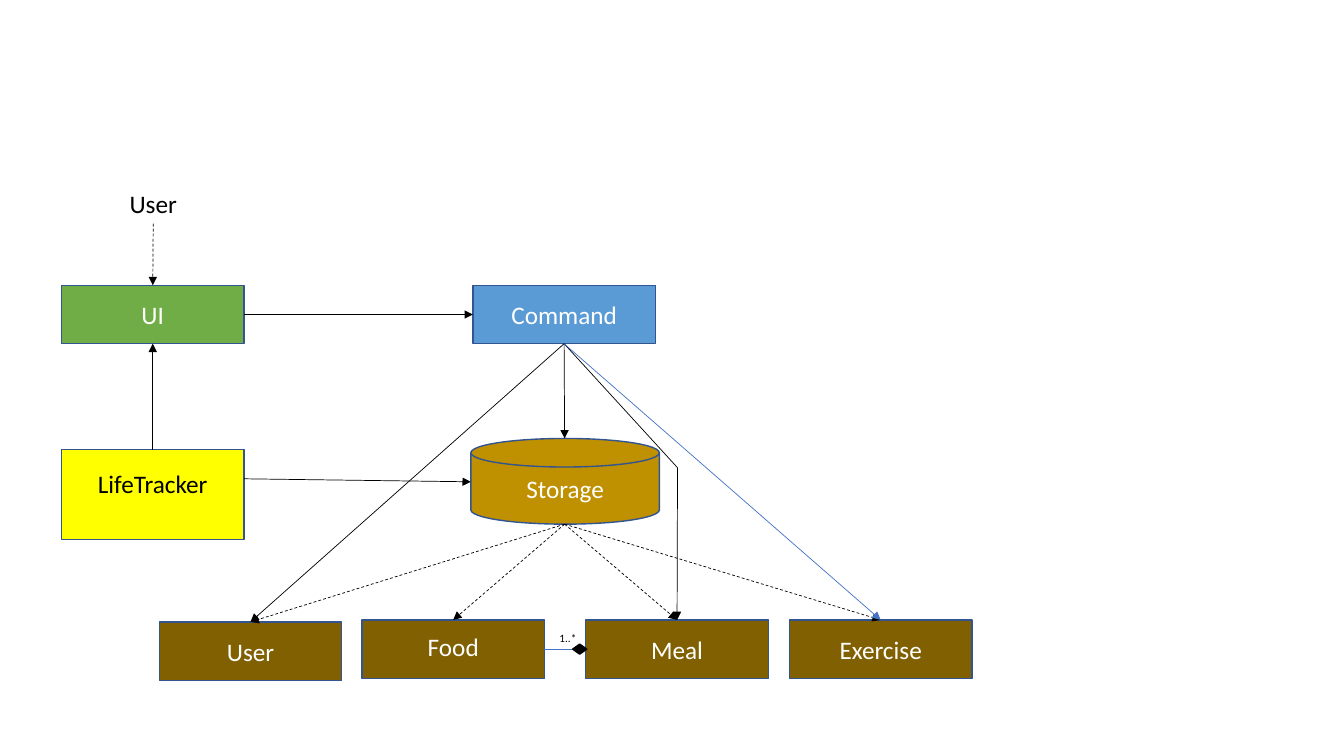
import pptx
import pptx.util
import pptx.dml.color
import pptx.enum.dml
import pptx.enum.shapes
import pptx.enum.text
import pptx.oxml.ns
import lxml.etree

Inches = pptx.util.Inches
Pt = pptx.util.Pt
RGBColor = pptx.dml.color.RGBColor
SHAPE = pptx.enum.shapes.MSO_SHAPE
ALIGN = pptx.enum.text.PP_ALIGN
ANCHOR = pptx.enum.text.MSO_ANCHOR

BLACK = RGBColor(0x00, 0x00, 0x00)
WHITE = RGBColor(0xFF, 0xFF, 0xFF)
GREEN = RGBColor(0x70, 0xAD, 0x47)
SKY = RGBColor(0x5B, 0x9B, 0xD5)
YELLOW = RGBColor(0xFF, 0xFF, 0x00)
GOLD = RGBColor(0xBF, 0x90, 0x00)
BROWN = RGBColor(0x80, 0x60, 0x00)
OUTLINE = RGBColor(0x32, 0x54, 0x91)
BLUE = RGBColor(0x44, 0x72, 0xC4)

BOX_WIDTH, BOX_HEIGHT = 1.81, 0.58
TOP, LEFT, BOTTOM, RIGHT = range(4)


def write(shape, wording, color=WHITE, size=18, align=ALIGN.CENTER, **frame_format):
    frame = shape.text_frame
    frame_values = {"word_wrap": True, "vertical_anchor": ANCHOR.MIDDLE, **frame_format}
    for name, value in frame_values.items():
        setattr(frame, name, value)
    paragraph = frame.paragraphs[0]
    paragraph.alignment = align
    run = paragraph.add_run()
    run.text = wording
    for name, value in {"name": "Calibri", "size": Pt(size)}.items():
        setattr(run.font, name, value)
    run.font.color.rgb = color


def add_block(slide, box, fill, kind=SHAPE.RECTANGLE, outline=OUTLINE):
    block = slide.shapes.add_shape(kind, *map(Inches, box))
    block.shadow.inherit = False
    block.fill.solid()
    block.fill.fore_color.rgb = fill
    block.line.color.rgb = outline
    block.line.width = Pt(1)
    return block


def add_label(slide, box, wording, **text_format):
    label = slide.shapes.add_textbox(*map(Inches, box))
    write(label, wording, BLACK, vertical_anchor=ANCHOR.TOP, **text_format)
    return label


def add_link(slide, start, end, color=BLACK, dashed=False, arrow=True):
    points = [end_point if isinstance(end_point[0], float) else (0, 0)
              for end_point in (start, end)]
    link = slide.shapes.add_connector(
        pptx.enum.shapes.MSO_CONNECTOR.STRAIGHT,
        *(Inches(value) for point in points for value in point))
    for end_point, join in ((start, link.begin_connect), (end, link.end_connect)):
        if not isinstance(end_point[0], float):
            join(*end_point)
    link.line.color.rgb = color
    link.line.width = Pt(0.5)
    if dashed:
        link.line.dash_style = pptx.enum.dml.MSO_LINE.DASH
    qn = pptx.oxml.ns.qn
    if arrow:
        lxml.etree.SubElement(link.line._get_or_add_ln(), qn("a:tailEnd"), type="triangle")
    lxml.etree.SubElement(link._element.spPr, qn("a:effectLst"))


def add_front_end(slide, left, top):
    user = add_label(slide, (left + 0.4, top, 1.02, 0.4), "User")
    ui = add_block(slide, (left, top + 1.01, BOX_WIDTH, BOX_HEIGHT), GREEN)
    write(ui, "UI")
    tracker = add_block(slide, (left, top + 2.64, BOX_WIDTH, 0.89), YELLOW)
    write(tracker, "LifeTracker", BLACK, margin_bottom=Inches(0.27))
    add_link(slide, (user, BOTTOM), (ui, TOP), dashed=True)
    add_link(slide, (tracker, TOP), (ui, BOTTOM))
    return ui


def add_core(slide, left, top):
    command = add_block(slide, (left + 0.02, top, BOX_WIDTH, BOX_HEIGHT), SKY)
    write(command, "Command")
    storage = add_block(slide, (left, top + 1.52, 1.87, 0.85), GOLD,
                        SHAPE.FLOWCHART_MAGNETIC_DISK)
    write(storage, "Storage")
    add_link(slide, (command, BOTTOM), (left + 0.93, top + 1.52))
    return command


def add_entities(slide, left, top):
    entities = {}
    for wording, across, down, inset in (("User", 0, 0.02, 0.05), ("Food", 2.01, 0, 0.1),
                                         ("Meal", 4.23, 0, 0.05), ("Exercise", 6.25, 0, 0.05)):
        entity = add_block(slide, (left + across, top + down, BOX_WIDTH, BOX_HEIGHT), BROWN)
        write(entity, wording, margin_bottom=Inches(inset))
        entities[wording] = entity
    add_link(slide, (entities["Food"], RIGHT), (entities["Meal"], LEFT), BLUE, arrow=False)
    add_block(slide, (left + 4.1, top + 0.24, 0.14, 0.1), BLACK,
              SHAPE.FLOWCHART_DECISION, BLACK)
    add_label(slide, (left + 3.87, top + 0.06, 0.41, 0.24), "1..*", size=8, align=ALIGN.LEFT)
    return entities


def add_dependencies(slide, ui, command, entities):
    storage_left, storage_bottom, bend = (4.67, 4.78), (5.6, 5.2), (6.72, 4.64)
    add_link(slide, (ui, RIGHT), (command, LEFT))
    add_link(slide, (2.42, 4.75), storage_left)
    for entity in entities.values():
        add_link(slide, storage_bottom, (entity, TOP), dashed=True)
    add_link(slide, (command, BOTTOM), (entities["User"], TOP))
    add_link(slide, (command, BOTTOM), bend, arrow=False)
    add_link(slide, bend, (entities["Meal"], TOP))
    add_link(slide, (command, BOTTOM), (entities["Exercise"], TOP), BLUE)


def main():
    deck = pptx.Presentation()
    deck.slide_width, deck.slide_height = Inches(13.33), Inches(7.5)
    slide = deck.slides.add_slide(deck.slide_layouts[6])
    ui = add_front_end(slide, 0.61, 1.82)
    command = add_core(slide, 4.67, 2.83)
    entities = add_entities(slide, 1.58, 6.15)
    add_dependencies(slide, ui, command, entities)
    deck.save("out.pptx")


if __name__ == "__main__":
    main()
